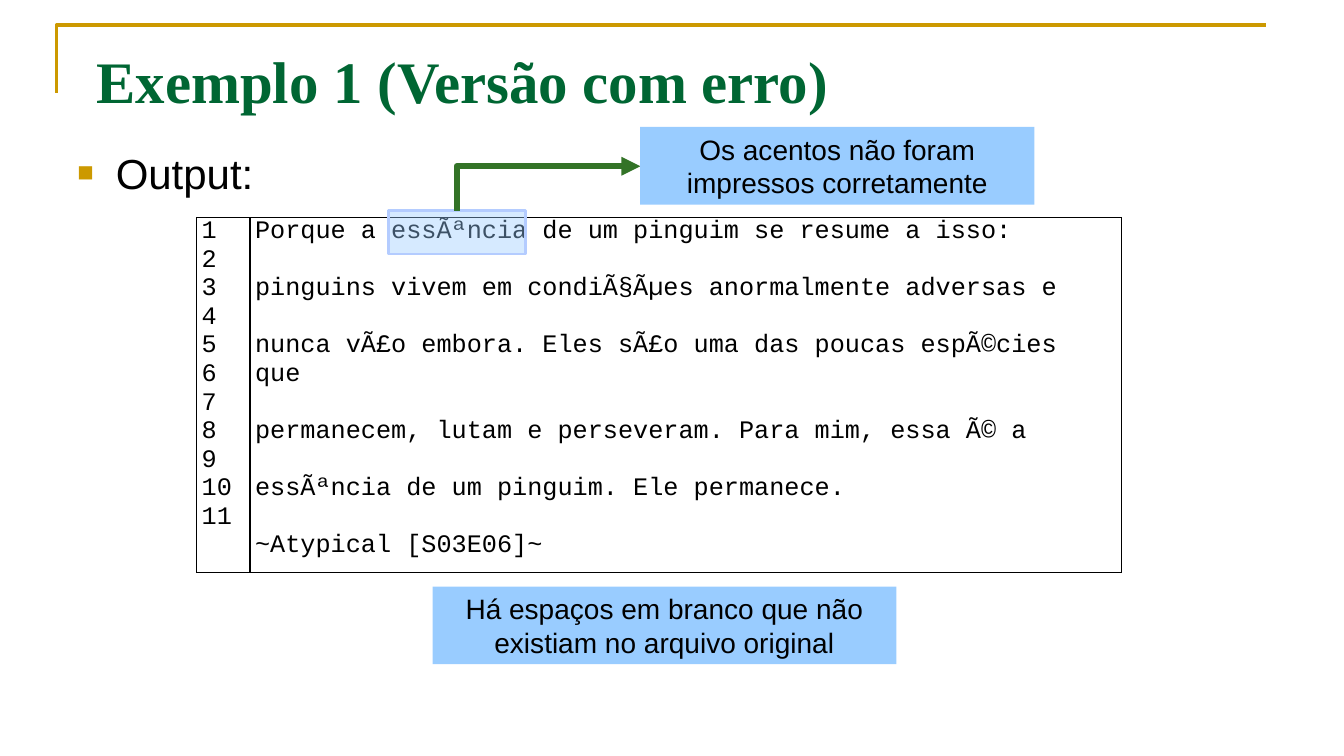
from lxml import etree
from pptx import Presentation
from pptx.dml.color import RGBColor
from pptx.enum.shapes import MSO_CONNECTOR, MSO_SHAPE
from pptx.enum.text import MSO_ANCHOR, PP_ALIGN
from pptx.oxml.ns import qn
from pptx.util import Inches, Pt

ELBOW = MSO_CONNECTOR.ELBOW
RECTANGLE = MSO_SHAPE.RECTANGLE
MIDDLE = MSO_ANCHOR.MIDDLE
LEFT, CENTER, JUSTIFY = PP_ALIGN.LEFT, PP_ALIGN.CENTER, PP_ALIGN.JUSTIFY
GOLD, GREEN, SKY, BLACK = "CC9900", "006633", "99CCFF", "000000"


def color(hex_value):
    return RGBColor.from_string(hex_value)


def write(frame, lines, font="Arial", size=20, ink=BLACK, bold=False, align=LEFT, gap=0):
    """Fill a text frame with one paragraph per line, gap points apart."""
    frame.word_wrap = True
    for index, line in enumerate(lines):
        paragraph = frame.add_paragraph() if index else frame.paragraphs[0]
        paragraph.alignment = align
        if index and gap:
            paragraph.space_before = Pt(gap)
        run = paragraph.add_run()
        run.text = line
        run.font.name = font
        run.font.size = Pt(size)
        run.font.bold = bold
        run.font.color.rgb = color(ink)


prs = Presentation()
prs.slide_width, prs.slide_height = Inches(13.33), Inches(7.5)
slide = prs.slides.add_slide(prs.slide_layouts[6])
shapes = slide.shapes

# Corner rule
outline = shapes.build_freeform(Inches(0.56), Inches(0.92))
outline.add_line_segments(
    [(Inches(0.56), Inches(0.25)), (Inches(12.56), Inches(0.25))], close=False
)
corner = outline.convert_to_shape()
corner.shadow.inherit = False
corner.fill.background()
corner.line.color.rgb = color(GOLD)
corner.line.width = Pt(2.5)

# Heading and bullet
body = shapes.add_textbox(Inches(0.67), Inches(1.41), Inches(12), Inches(0.6))
bullet = body.text_frame.paragraphs[0]._p.get_or_add_pPr()
bullet.set("marL", str(Inches(0.38)))
bullet.set("indent", str(-Inches(0.38)))
bullet_color = etree.SubElement(bullet, qn("a:buClr"))
etree.SubElement(bullet_color, qn("a:srgbClr"), val=GOLD)
etree.SubElement(bullet, qn("a:buSzPct"), val="65000")
etree.SubElement(bullet, qn("a:buFont"), typeface="Arial")
etree.SubElement(bullet, qn("a:buChar"), char="■")
write(body.text_frame, ["Output:"], size=30, align=JUSTIFY)

title = shapes.add_textbox(Inches(0.86), Inches(0.36), Inches(12), Inches(0.87))
title.text_frame.vertical_anchor = MIDDLE
write(title.text_frame, ["Exemplo 1 (Versão com erro)"],
      font="Times New Roman", size=42, ink=GREEN, bold=True)

# Program output with line numbers
output_lines = [
    "Porque a essÃªncia de um pinguim se resume a isso:",
    "pinguins vivem em condiÃ§Ãµes anormalmente adversas e",
    "nunca vÃ£o embora. Eles sÃ£o uma das poucas espÃ©cies que",
    "permanecem, lutam e perseveram. Para mim, essa Ã© a",
    "essÃªncia de um pinguim. Ele permanece.",
    "~Atypical [S03E06]~",
]
line_numbers = [str(number) for number in range(1, 12)]
listing = shapes.add_table(
    1, 2, Inches(1.95), Inches(2.16), Inches(9.17), Inches(3.4)
).table
listing.first_row = listing.horz_banding = False
columns = [(0.53, line_numbers, JUSTIFY, 0), (8.64, output_lines, LEFT, 20.4)]
for index, (width, lines, align, gap) in enumerate(columns):
    listing.columns[index].width = Inches(width)
    cell = listing.cell(0, index)
    cell.margin_left = cell.margin_right = Inches(0.05)
    cell.margin_top = cell.margin_bottom = 0
    write(cell.text_frame, lines, font="Courier New", size=18, align=align, gap=gap)
    properties = cell._tc.get_or_add_tcPr()
    for side in ("a:lnL", "a:lnR", "a:lnT", "a:lnB"):
        border = etree.SubElement(properties, qn(side), w=str(Pt(1)))
        border_fill = etree.SubElement(border, qn("a:solidFill"))
        etree.SubElement(border_fill, qn("a:srgbClr"), val=BLACK)
    cell.fill.background()

# Highlight over the garbled word
highlight = shapes.add_shape(
    RECTANGLE, Inches(3.85), Inches(2.09), Inches(1.36), Inches(0.43)
)
highlight.shadow.inherit = False
highlight.fill.solid()
highlight.fill.fore_color.rgb = color(SKY)
highlight_color = highlight._element.spPr.find(qn("a:solidFill"))[0]
etree.SubElement(highlight_color, qn("a:alpha"), val="40000")
highlight.line.color.rgb = color("B4CCFF")
highlight.line.width = Pt(2)

# Arrow up from the highlight, then right to the callout: a quarter-turned elbow
arrow = shapes.add_connector(
    ELBOW, Inches(5.66), Inches(2.78), Inches(5.22), Inches(0.96)
)
arrow.line.color.rgb = color("337327")
arrow.line.width = Pt(4.5)
arrow_properties = arrow._element.spPr
arrow_properties.find(qn("a:xfrm")).set("rot", str(90 * 60000))
arrow_properties.find(qn("a:prstGeom")).set("prst", "bentConnector2")
etree.SubElement(arrow_properties.find(qn("a:ln")), qn("a:tailEnd"), type="triangle")
etree.SubElement(arrow_properties, qn("a:effectLst"))

# Callouts
callouts = [
    (6.35, 1.26, 3.91, "Os acentos não foram impressos corretamente"),
    (4.29, 5.82, 4.6, "Há espaços em branco que não existiam no arquivo original"),
]
for left, top, width, message in callouts:
    callout = shapes.add_shape(
        RECTANGLE, Inches(left), Inches(top), Inches(width), Inches(0.77)
    )
    callout.shadow.inherit = False
    callout.fill.solid()
    callout.fill.fore_color.rgb = color(SKY)
    callout.line.fill.background()
    callout.text_frame.vertical_anchor = MIDDLE
    write(callout.text_frame, [message], align=CENTER)

prs.save("out.pptx")
